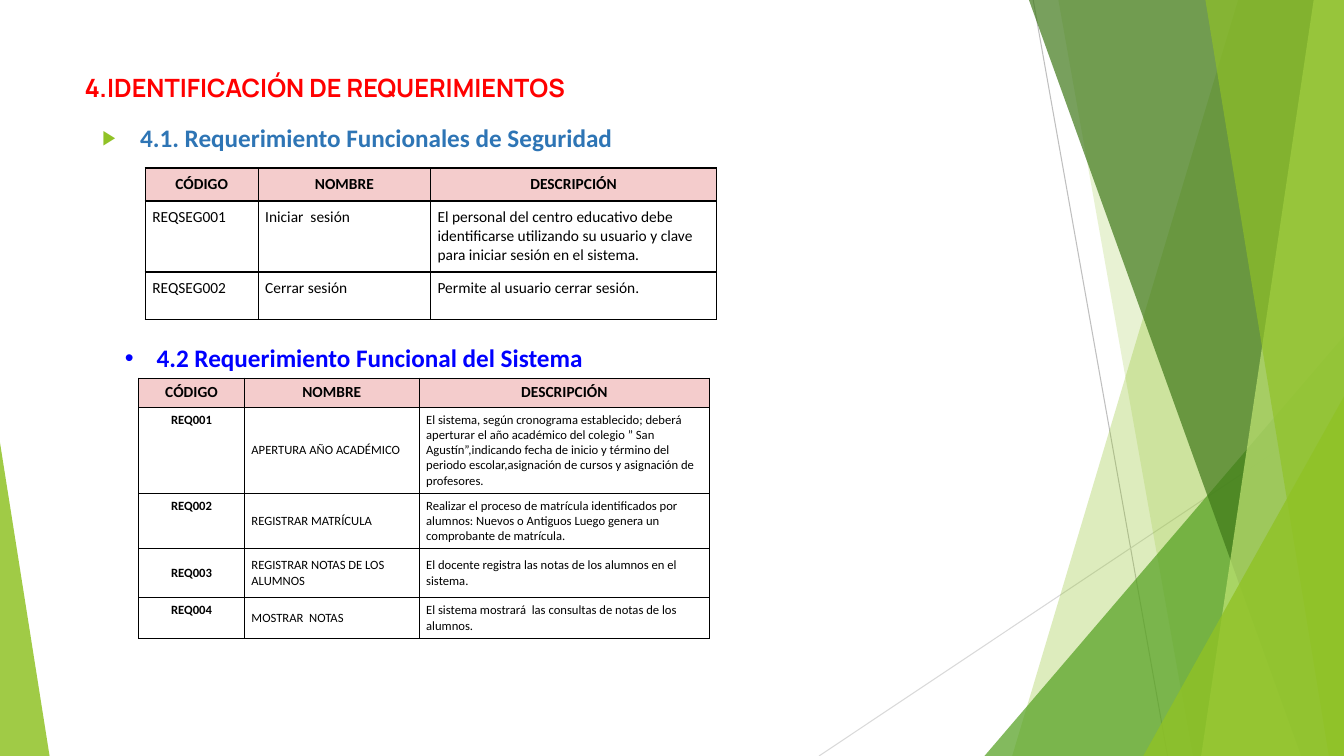
from lxml.etree import SubElement
from pptx import Presentation
from pptx.dml.color import RGBColor
from pptx.enum.shapes import MSO_CONNECTOR, MSO_SHAPE
from pptx.enum.text import MSO_ANCHOR, PP_ALIGN
from pptx.oxml.ns import qn
from pptx.util import Inches, Pt

COLUMNS, ROWS = 80, 45
UNIT = Inches(1) // 6  # one grid column or row

BLACK = RGBColor(0x00, 0x00, 0x00)
RED = RGBColor(0xFF, 0x00, 0x00)
STEEL_BLUE = RGBColor(0x2E, 0x75, 0xB5)
BLUE = RGBColor(0x00, 0x00, 0xFF)
PINK = RGBColor(0xF4, 0xCC, 0xCC)
LIME = RGBColor(0x90, 0xC2, 0x26)
PALE_LIME = RGBColor(0xC0, 0xE4, 0x74)
GREEN = RGBColor(0x54, 0xA0, 0x21)
DARK_GREEN = RGBColor(0x3F, 0x78, 0x19)
GRAY = RGBColor(0xBF, 0xBF, 0xBF)
LIGHT_GRAY = RGBColor(0xD9, 0xD9, 0xD9)

HEADER = ("CÓDIGO", "NOMBRE", "DESCRIPCIÓN")
SECURITY = [
    ("REQSEG001", "Iniciar  sesión",
     "El personal del centro educativo debe identificarse utilizando su usuario y clave "
     "para iniciar sesión en el sistema."),
    ("REQSEG002", "Cerrar sesión", "Permite al usuario cerrar sesión."),
]
SYSTEM = [
    ("REQ001", "APERTURA AÑO ACADÉMICO",
     "El sistema, según cronograma establecido; deberá aperturar el año académico del "
     "colegio ” San Agustín”,indicando fecha de inicio y término del periodo "
     "escolar,asignación de cursos y asignación de profesores."),
    ("REQ002", "REGISTRAR MATRÍCULA",
     "Realizar el proceso de matrícula identificados por alumnos: Nuevos o Antiguos "
     "Luego genera un comprobante de matrícula."),
    ("REQ003", "REGISTRAR NOTAS DE LOS ALUMNOS",
     "El docente registra las notas de los alumnos en el sistema."),
    ("REQ004", "MOSTRAR  NOTAS",
     "El sistema mostrará  las consultas de notas de los alumnos."),
]


def grid(*lengths):
    return [round(length * UNIT) for length in lengths]


class RequirementsSlide:
    body_font = "Calibri"
    title_font = "Manrope"

    def __init__(self, deck):
        self.slide = deck.slides.add_slide(deck.slide_layouts[6])
        self.shapes = self.slide.shapes

    def line(self, start, end, color):
        line = self.shapes.add_connector(MSO_CONNECTOR.STRAIGHT, *grid(*start, *end))
        line.line.color.rgb = color
        line.line.width = Pt(0.75)
        SubElement(line._element.spPr, qn("a:effectLst"))

    def paint(self, shape, color, opacity):
        shape.shadow.inherit = False
        shape.fill.solid()
        shape.fill.fore_color.rgb = color
        shape.line.fill.background()
        fill_color = shape._element.spPr.find(qn("a:solidFill"))[0]
        SubElement(fill_color, qn("a:alpha"), val=str(opacity * 1000))

    def facet(self, top, bottom, color, opacity):
        """Full-height band between a slanted left side and the slide's right edge."""
        builder = self.shapes.build_freeform(*grid(top, 0))
        corners = [(COLUMNS, 0), (COLUMNS, ROWS), (bottom, ROWS)]
        builder.add_line_segments([grid(*corner) for corner in corners], close=True)
        self.paint(builder.convert_to_shape(), color, opacity)

    def triangle(self, left, width, height, apex, color, opacity):
        """Triangle standing on the slide's bottom edge."""
        shape = self.shapes.add_shape(
            MSO_SHAPE.ISOSCELES_TRIANGLE, *grid(left, ROWS - height, width, height))
        shape.adjustments[0] = apex
        self.paint(shape, color, opacity)

    def add_span(self, para, text, size, color, bold, font=body_font):
        span = para.add_run()
        span.text = text
        span.font.name = font
        span.font.size = Pt(size)
        span.font.bold = bold
        span.font.color.rgb = color

    def heading(self, area, text, color, font=body_font):
        box = self.shapes.add_textbox(*grid(*area))
        box.text_frame.word_wrap = True
        para = box.text_frame.paragraphs[0]
        self.add_span(para, text, 18, color, True, font)
        return para

    def bullet(self, para, mark, indent, color=None, scale=100):
        properties = para._p.get_or_add_pPr()
        hanging, = grid(indent)
        properties.set("marL", str(hanging))
        properties.set("indent", str(-hanging))
        if color is not None:
            paint = SubElement(properties, qn("a:buClr"))
            SubElement(paint, qn("a:srgbClr"), val=str(color))
        SubElement(properties, qn("a:buSzPct"), val=str(scale * 1000))
        SubElement(properties, qn("a:buFont"), typeface="Arial")
        SubElement(properties, qn("a:buChar"), char=mark)

    def border(self, cell, width):
        properties = cell._tc.get_or_add_tcPr()
        for position, side in enumerate(("lnL", "lnR", "lnT", "lnB")):
            edge = properties.makeelement(qn(f"a:{side}"), {"w": str(Pt(width))})
            fill = SubElement(edge, qn("a:solidFill"))
            SubElement(fill, qn("a:srgbClr"), val=str(BLACK))
            properties.insert(position, edge)

    def cell(self, cell, text, size, padding, border, bold=False, centered=False,
             middle=False, spacing=(0, 0), fill=None):
        cell.margin_left, cell.margin_right = grid(0.42, 0.42)
        cell.margin_top, cell.margin_bottom = grid(padding, padding)
        cell.vertical_anchor = MSO_ANCHOR.MIDDLE if middle else MSO_ANCHOR.TOP
        if fill is None:
            cell.fill.background()
        else:
            cell.fill.solid()
            cell.fill.fore_color.rgb = fill
        self.border(cell, border)
        para = cell.text_frame.paragraphs[0]
        para.alignment = PP_ALIGN.CENTER if centered else PP_ALIGN.LEFT
        para.space_before, para.space_after = map(Pt, spacing)
        self.add_span(para, text, size, BLACK, bold)

    def table(self, corner, widths, heights, records, style, padding, border):
        """Header plus records; style(record, column) gives a body cell's options."""
        frame = self.shapes.add_table(
            len(heights), len(widths), *grid(*corner, sum(widths), sum(heights)))
        table = frame.table
        table.first_row = table.horz_banding = False
        for column, width in zip(table.columns, grid(*widths)):
            column.width = width
        for row, height in zip(table.rows, grid(*heights)):
            row.height = height
        for column, text in enumerate(HEADER):
            self.cell(table.cell(0, column), text, 11, padding, border, bold=True,
                      centered=True, spacing=(9, 3), fill=PINK)
        for row, record in enumerate(records, start=1):
            for column, text in enumerate(record):
                self.cell(table.cell(row, column), text, padding=padding,
                          border=border, **style(record, column))


def security_style(record, column):
    return {"size": 11}


def system_style(record, column):
    is_code = column == 0
    is_centered_row = record[0] == "REQ003"
    return {"size": 9, "bold": is_code, "centered": is_code,
            "middle": not is_code or is_centered_row,
            "spacing": (9, 6 if is_code and is_centered_row else 3)}


def main():
    deck = Presentation()
    deck.slide_width, deck.slide_height = grid(COLUMNS, ROWS)
    page = RequirementsSlide(deck)

    page.line((61.5, 0), (69.5, ROWS), GRAY)
    page.line((COLUMNS, 24.15), (48.75, ROWS), LIGHT_GRAY)
    page.facet(73.7, 60.25, LIME, 30)
    page.facet(63, 71, LIME, 20)
    page.triangle(58.6, 21.4, 25, 1, GREEN, 72)
    page.facet(61.25, 77.45, DARK_GREEN, 70)
    page.facet(78.2, 71.5, PALE_LIME, 70)
    page.facet(71.75, 79.1, LIME, 65)
    page.triangle(68.05, 11.95, 21.4, 1, LIME, 80)
    page.triangle(0, 2.95, 18.65, 0, LIME, 85)

    page.heading((4.45, 4, 56.4, 8.65), "4.IDENTIFICACIÓN DE REQUERIMIENTOS",
                 RED, page.title_font)
    security = page.heading((5.5, 7, 69, 2.5),
                            "4.1. Requerimiento Funcionales de Seguridad", STEEL_BLUE)
    page.bullet(security, "▶", 2.25, LIME, 80)
    page.table((8.65, 10), (6.72, 10.26, 17.04), (1.97, 4.23, 2.8), SECURITY,
               security_style, padding=0.42, border=1)

    system = page.heading((6.85, 20.1, 51.5, 2.4),
                          "4.2 Requerimiento Funcional del Sistema", BLUE)
    page.bullet(system, "•", 1.88)
    page.table((8.25, 22.5), (6.3, 10.4, 17.3), (1.73, 5.12, 3.27, 2.92, 2.44), SYSTEM,
               system_style, padding=0.3, border=0.5)
    deck.save("out.pptx")


if __name__ == "__main__":
    main()
